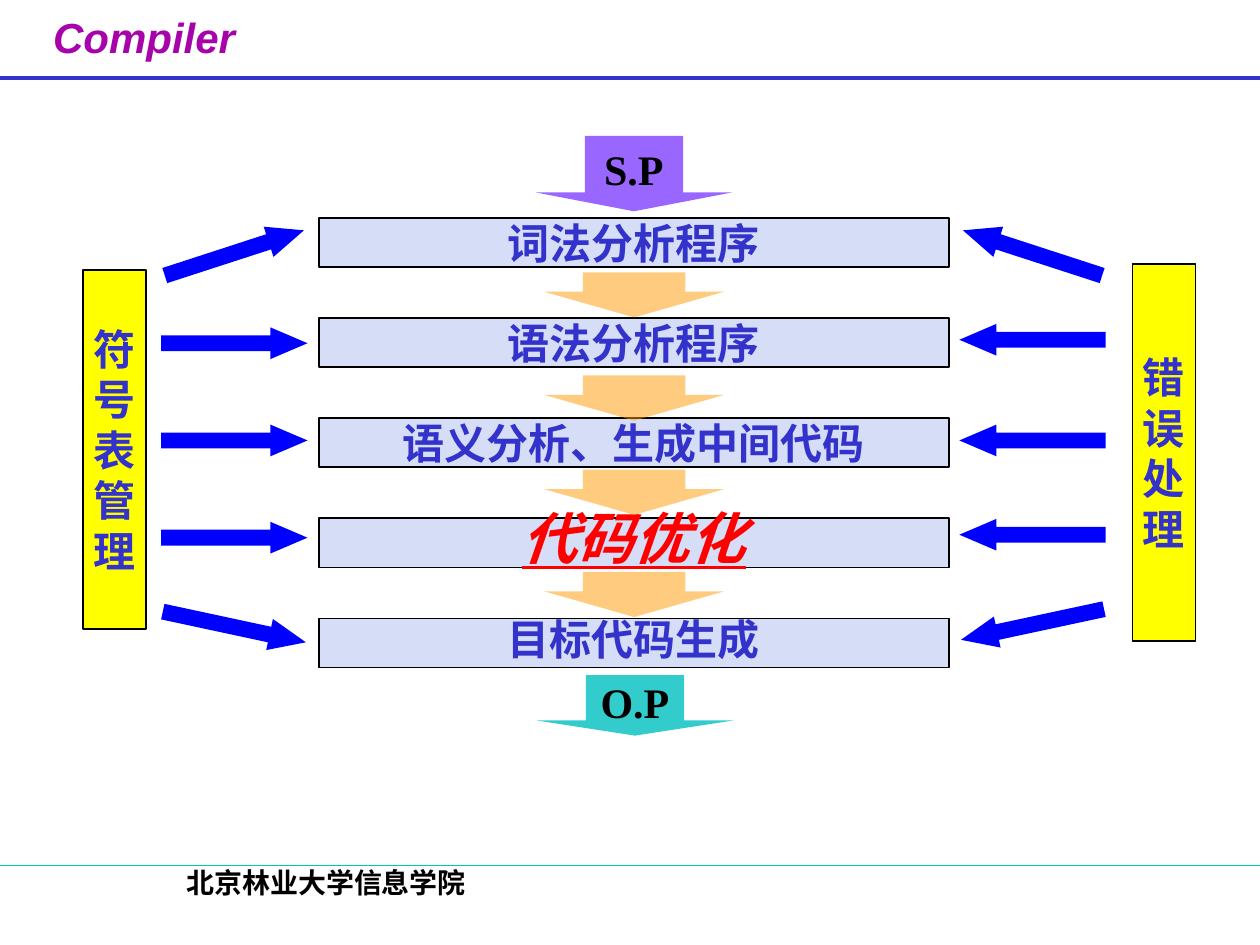
"""Build a slide showing the phases of a compiler."""
from lxml import etree
from pptx import Presentation
from pptx import util as u
from pptx.dml.color import RGBColor
from pptx.enum import shapes, text
from pptx.oxml import ns

PURPLE = RGBColor(0xA6, 0x03, 0xAB)
VIOLET = RGBColor(0x99, 0x66, 0xFF)
TEAL = RGBColor(0x33, 0xCC, 0xCC)
GREEN = RGBColor(0x00, 0xCC, 0x99)
INDIGO = RGBColor(0x33, 0x33, 0xCC)
BLUE = RGBColor(0x00, 0x00, 0xFF)
PALE = RGBColor(0xD6, 0xDD, 0xF6)
ORANGE = RGBColor(0xFF, 0x99, 0x00)
YELLOW = RGBColor(0xFF, 0xFF, 0x00)
RED = RGBColor(0xFF, 0x00, 0x00)
BLACK = RGBColor(0x00, 0x00, 0x00)
CHINESE = "Noto Sans CJK SC"
SERIF = "Times New Roman"
KIND = shapes.MSO_SHAPE


def write(shape, content, size=24, color=INDIGO, font=CHINESE, italic=False,
          underline=False, spacing=None, wrap=False, anchor=text.MSO_ANCHOR.MIDDLE):
    frame = shape.text_frame
    frame.text = content
    frame.auto_size = text.MSO_AUTO_SIZE.NONE
    frame.word_wrap = wrap
    frame.vertical_anchor = anchor
    for paragraph in frame.paragraphs:
        paragraph.alignment = text.PP_ALIGN.CENTER
        paragraph.space_before = u.Pt(0)
        if spacing:
            paragraph.line_spacing = spacing
        for run in paragraph.runs:
            run.font.name = font
            run.font.size = u.Pt(size)
            run.font.bold = True
            run.font.italic = italic
            run.font.underline = underline
            run.font.color.rgb = color
            east_asian = etree.SubElement(run.font._element, ns.qn("a:ea"))
            east_asian.set("typeface", CHINESE)


class Diagram:
    def __init__(self, presentation):
        self.slide = presentation.slides.add_slide(presentation.slide_layouts[5])

    def title(self, content, left, top, width, height):
        title = self.slide.shapes.title
        title.left, title.top = u.Cm(left), u.Cm(top)
        title.width, title.height = u.Cm(width), u.Cm(height)
        write(title, content, color=PURPLE, font="Arial", italic=True,
              anchor=text.MSO_ANCHOR.TOP)

    def rule(self, top, color, weight):
        line = self.slide.shapes.add_connector(
            shapes.MSO_CONNECTOR.STRAIGHT, 0, u.Cm(top), u.Cm(25.4), u.Cm(top))
        line.line.color.rgb = color
        line.line.width = u.Pt(weight)
        etree.SubElement(line._element.spPr, ns.qn("a:effectLst"))

    def label(self, content, left, top, width, height, **style):
        box = self.slide.shapes.add_textbox(*map(u.Cm, (left, top, width, height)))
        write(box, content, wrap=True, anchor=text.MSO_ANCHOR.TOP, **style)

    def shape(self, kind, left, top, width, height, fill):
        shape = self.slide.shapes.add_shape(kind, *map(u.Cm, (left, top, width, height)))
        shape.shadow.inherit = False
        shape.fill.solid()
        shape.fill.fore_color.rgb = fill
        shape.line.fill.background()
        return shape

    def box(self, content, left, top, width, height, fill, **style):
        box = self.shape(KIND.RECTANGLE, left, top, width, height, fill)
        box.line.color.rgb = BLACK
        box.line.width = u.Pt(1)
        write(box, content, **style)

    def arrow(self, kind, left, top, width, height, fill, shaft, head, angle=0, opacity=None):
        arrow = self.shape(kind, left, top, width, height, fill)
        arrow.adjustments[0] = shaft
        arrow.adjustments[1] = head
        arrow.rotation = angle
        if opacity:
            color = arrow._element.spPr.find(".//" + ns.qn("a:srgbClr"))
            etree.SubElement(color, ns.qn("a:alpha")).set("val", str(opacity * 1000))
        return arrow


def main():
    presentation = Presentation()
    presentation.slide_width, presentation.slide_height = u.Cm(25.4), u.Cm(19.05)
    diagram = Diagram(presentation)

    diagram.title("Compiler", 0.48, 0.1, 4.85, 1.57)
    diagram.rule(1.57, INDIGO, 2.25)
    diagram.rule(17.45, GREEN, 0.75)
    diagram.label("北京林业大学信息学院", 1.32, 17.32, 10.52, 1.27,
                  size=16, color=BLACK, font=SERIF)

    for name, left, top, height, fill in (("S.P", 10.8, 2.74, 1.52, VIOLET),
                                          ("O.P", 10.82, 13.61, 1.22, TEAL)):
        arrow = diagram.arrow(KIND.DOWN_ARROW, left, top, 3.96, height, fill, 0.5, 0.25)
        write(arrow, name, color=BLACK, font=SERIF)

    stages = (
        ("词法分析程序", {}),
        ("语法分析程序", {}),
        ("语义分析、生成中间代码", {}),
        ("代码优化", dict(size=32, color=RED, italic=True, underline=True, spacing=0.8)),
        ("目标代码生成", dict(spacing=0.8)),
    )
    for index, (name, style) in enumerate(stages):
        diagram.box(name, 6.43, 4.39 + 2.02 * index, 12.7, 0.99, PALE, **style)
    for top in (5.49, 7.57, 9.47, 11.53):
        diagram.arrow(KIND.DOWN_ARROW, 10.97, top, 3.63, 0.91, ORANGE, 0.57, 0.57, opacity=50)

    diagram.box("\n".join("符号表管理"), 1.68, 5.44, 1.27, 7.24, YELLOW)
    diagram.box("\n".join("错误处理"), 22.83, 5.33, 1.27, 7.59, YELLOW)
    sides = (
        (KIND.RIGHT_ARROW, 3.25, 1, (4.78, 6.6, 8.56, 10.52, 12.32)),
        (KIND.LEFT_ARROW, 19.34, -1, (4.78, 6.53, 8.56, 10.46, 12.27)),
    )
    for kind, left, direction, tops in sides:
        for top, angle in zip(tops, (-18, 0, 0, 0, 12.1)):
            diagram.arrow(kind, left, top, 2.95, 0.64, BLUE, 0.5, 1.17, angle * direction)

    presentation.save("out.pptx")


if __name__ == "__main__":
    main()
